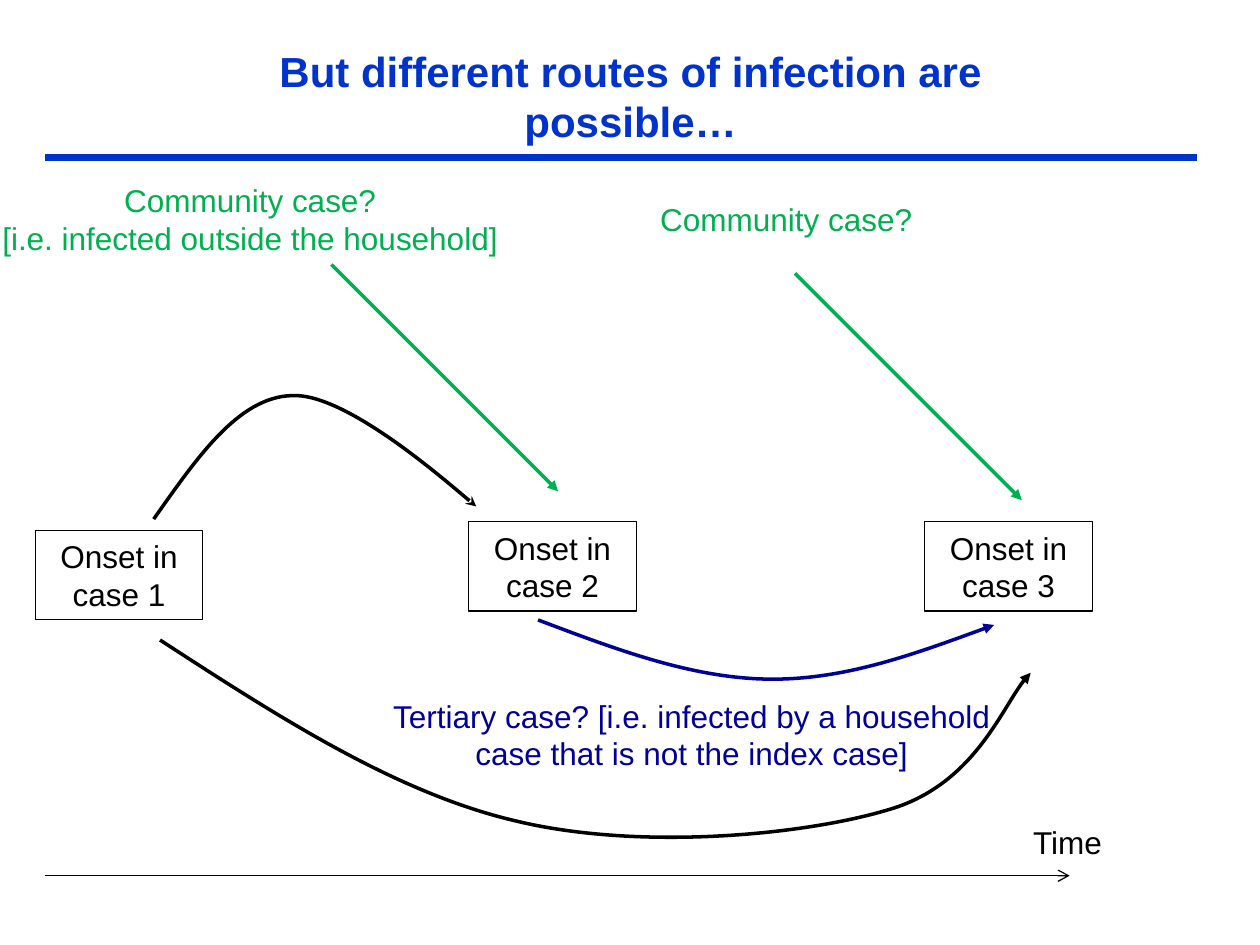
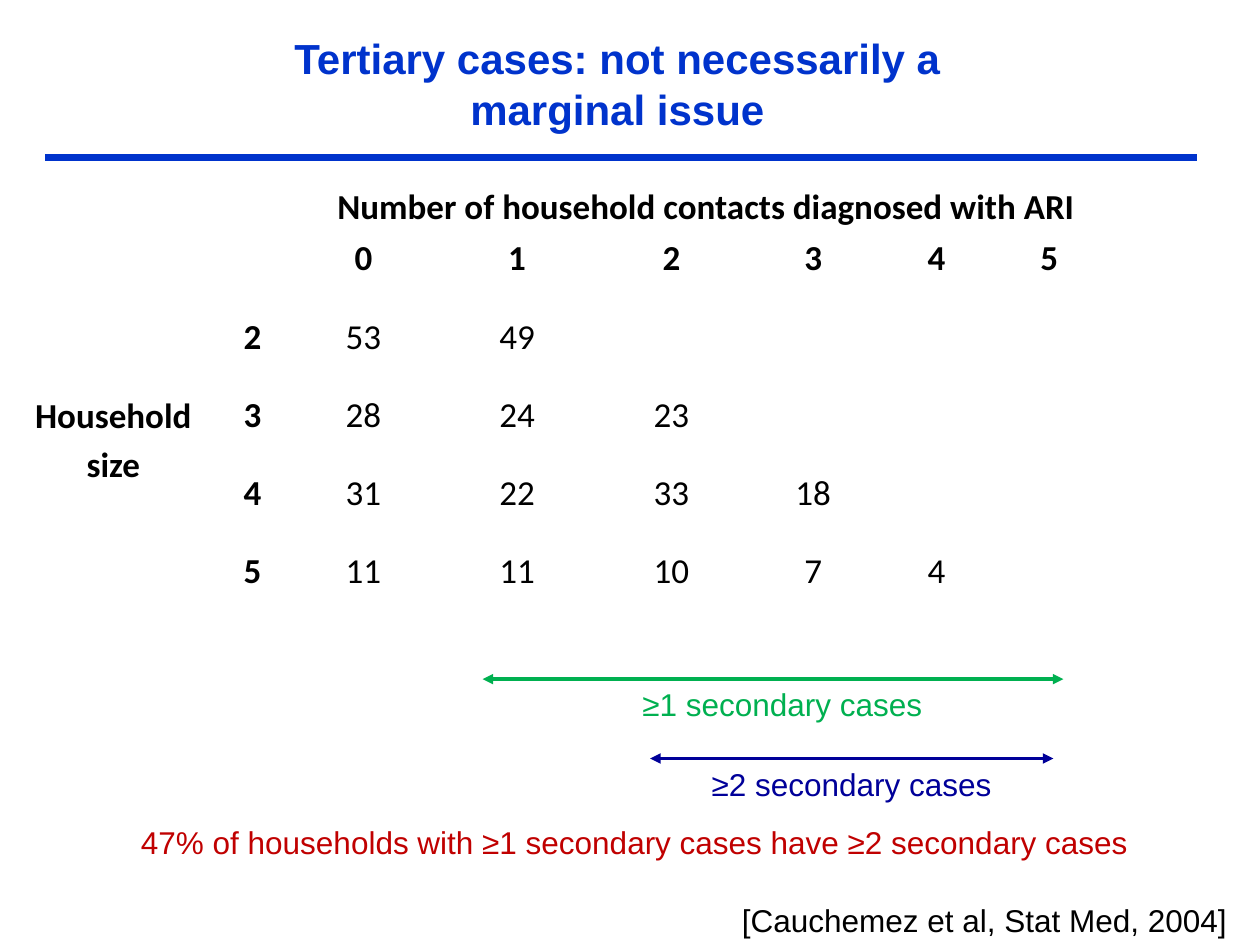
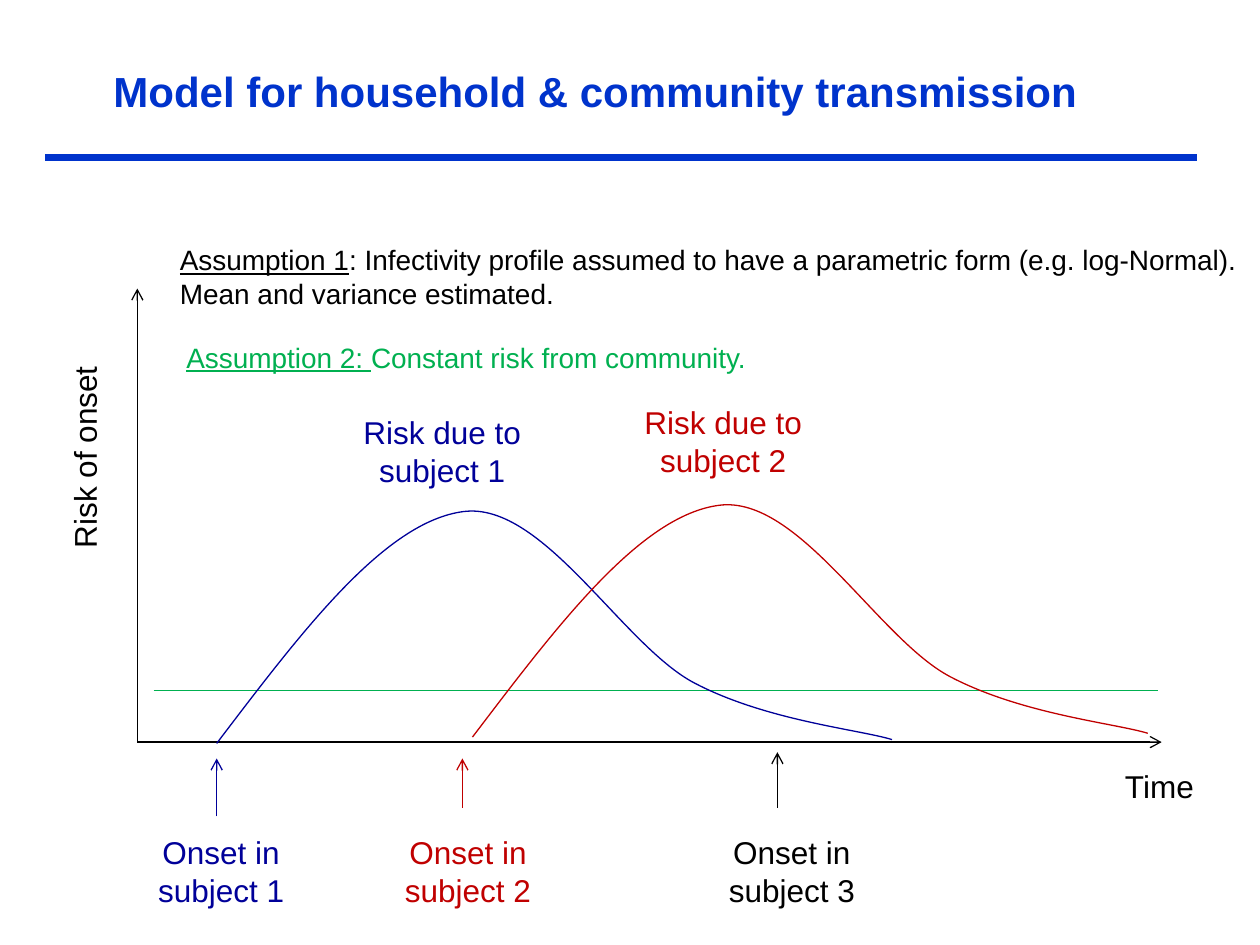
import pptx
import pptx.dml.color
import pptx.enum.shapes
import pptx.enum.text
import pptx.oxml
import pptx.oxml.ns
import pptx.util
from lxml import etree

Inches = pptx.util.Inches
Pt = pptx.util.Pt
qn = pptx.oxml.ns.qn
ALIGN = pptx.enum.text.PP_ALIGN
ANCHOR = pptx.enum.text.MSO_ANCHOR

COLORS = {
    "title": "0033CC",
    "text": "000000",
    "green": "00B050",
    "navy": "000099",
    "red": "C00000",
    "white": "FFFFFF",
}
TITLE_ONLY = 5
ONSET_SIZE = (1.33, 0.71)


def rgb(color):
    """Return the named colour."""
    return pptx.dml.color.RGBColor.from_string(COLORS[color])


def format_font(font, color, size=18, name="Arial", bold=False):
    """Set face, size, weight and colour of a font."""
    font.name, font.size, font.bold = name, Pt(size), bold
    font.color.rgb = rgb(color)


def format_line(shape, color, width, head=None, tail=None):
    """Style a line or outline, with arrowheads at its start and end."""
    shape.line.color.rgb = rgb(color)
    shape.line.width = Pt(width)
    line = shape.line._get_or_add_ln()
    for tag, kind in (("a:headEnd", head), ("a:tailEnd", tail)):
        if kind:
            etree.SubElement(line, qn(tag)).set("type", kind)


def add_line(slide, start, end, color, width=0.75, head=None, tail=None):
    """Draw a straight line between two points."""
    connector = slide.shapes.add_connector(
        pptx.enum.shapes.MSO_CONNECTOR.STRAIGHT,
        *(Inches(value) for value in (*start, *end)))
    format_line(connector, color, width, head, tail)
    etree.SubElement(connector._element.spPr, qn("a:effectLst"))
    return connector


def add_curve(slide, left, top, points, color, width=0.75, tail=None):
    """Draw a Bezier curve: a start point, then three points per segment."""
    placed = [(Inches(left + x), Inches(top + y)) for x, y in points]
    builder = slide.shapes.build_freeform(*placed[0])
    builder.add_line_segments(placed[1:], close=False)
    shape = builder.convert_to_shape()
    shape.shadow.inherit = False
    shape.fill.background()
    format_line(shape, color, width, tail=tail)
    steps = list(shape._element.iter(qn("a:lnTo")))
    for first, *others in zip(steps[::3], steps[1::3], steps[2::3]):
        bezier = etree.Element(qn("a:cubicBezTo"))
        first.addprevious(bezier)
        for step in (first, *others):
            bezier.append(step[0])
            step.getparent().remove(step)


def fill_text(shape, lines, color, size=18, align=ALIGN.CENTER, wrap=True):
    """Write one paragraph per line into a shape."""
    frame = shape.text_frame
    frame.word_wrap = wrap
    frame.text = "\n".join(lines)
    for paragraph in frame.paragraphs:
        paragraph.alignment = align
        format_font(paragraph.font, color, size)


def add_label(slide, left, top, width, height, text, color, size=18,
              align=ALIGN.CENTER, wrap=True):
    """Add a plain text box."""
    label = slide.shapes.add_textbox(*map(Inches, (left, top, width, height)))
    fill_text(label, [text], color, size, align, wrap)
    return label


def add_single_line(slide, left, top, width, text, color):
    """Add a left-aligned label that does not wrap."""
    return add_label(slide, left, top, width, 0.4, text, color,
                     align=ALIGN.LEFT, wrap=False)


def add_framed_text(slide, left, top, width, height, lines, color, border):
    """Add centred text in an unfilled rectangle."""
    frame = slide.shapes.add_shape(
        pptx.enum.shapes.MSO_SHAPE.RECTANGLE,
        *map(Inches, (left, top, width, height)))
    frame.shadow.inherit = False
    frame.fill.background()
    format_line(frame, border, 0.75)
    fill_text(frame, lines, color)


def add_assumption(slide, left, top, width, height, heading, body, color):
    """Add an assumption with its heading underlined."""
    label = add_label(slide, left, top, width, height, heading, color, 16,
                      ALIGN.LEFT)
    paragraph = label.text_frame.paragraphs[0]
    paragraph.runs[0].font.underline = True
    paragraph.add_run().text = body


def add_title_slide(presentation, title, left, top, width, height):
    """Add a slide and place its title."""
    slide = presentation.slides.add_slide(
        presentation.slide_layouts[TITLE_ONLY])
    shape = slide.shapes.title
    shape.left, shape.top, shape.width, shape.height = map(
        Inches, (left, top, width, height))
    shape.text_frame.text = title
    shape.text_frame.vertical_anchor = ANCHOR.TOP
    shape.text_frame.auto_size = pptx.enum.text.MSO_AUTO_SIZE.NONE
    paragraph = shape.text_frame.paragraphs[0]
    paragraph.alignment = ALIGN.CENTER
    format_font(paragraph.font, "title", 24, bold=True)
    return slide


def move_rule_to_layout(slide):
    """Put the blue rule under the title on the shared layout."""
    rule = add_line(slide, (0.36, 1.25), (9.5, 1.25), "title", 4.5)
    slide.slide_layout.shapes._spTree.append(rule._element)


def add_routes(slide, left, top):
    """Draw the cases over time and the routes between them."""
    add_line(slide, (left + 0.08, top + 5.57), (left + 8.21, top + 5.57),
             "text", tail="arrow")
    add_single_line(slide, left + 7.82, top + 5.1, 0.75, "Time", "text")
    for number, (x, y) in enumerate(
            [(0, 2.83), (3.44, 2.76), (7.06, 2.76)], start=1):
        add_framed_text(slide, left + x, top + y, *ONSET_SIZE,
                        [f"Onset in case {number}"], "text", "text")

    community = "Community case?"
    add_framed_text(slide, left - 0.42, top, 4.25, 0.71,
                    [community, "[i.e. infected outside the household]"],
                    "green", "white")
    add_framed_text(slide, left + 4.85, top + 0.16, 2.22, 0.4, [community],
                    "green", "white")
    for x, y in ((2.35, 0.72), (6.03, 0.79)):
        add_line(slide, (left + x, top + y), (left + x + 1.8, top + y + 1.8),
                 "green", 2, tail="triangle")

    add_curve(slide, left, top,
              [(0.94, 2.74), (1.28, 2.26), (1.61, 1.77), (2.04, 1.76),
               (2.46, 1.74), (3.5, 2.64), (3.5, 2.64)],
              "text", 2, "stealth")
    add_curve(slide, left, top,
              [(3.99, 3.54), (4.6, 3.77), (5.2, 4), (5.81, 4.01),
               (6.41, 4.02), (7.01, 3.8), (7.61, 3.58)],
              "navy", 2, "triangle")
    add_curve(slide, left, top,
              [(0.99, 3.7), (1.93, 4.31), (2.87, 4.92), (3.83, 5.14),
               (4.8, 5.37), (6.09, 5.25), (6.76, 5.05),
               (7.44, 4.86), (7.71, 4.14), (7.9, 3.96)],
              "text", 2, "triangle")
    add_label(slide, left + 2.65, top + 4.1, 5.12, 0.71,
              "Tertiary case? [i.e. infected by a household case that is "
              "not the index case]", "navy")


def write_cell(cell, text, bold, anchor=ANCHOR.BOTTOM):
    """Write a centred table entry."""
    cell.text = str(text)
    cell.vertical_anchor = anchor
    cell.margin_left = cell.margin_right = cell.margin_top = Inches(0.01)
    cell.margin_bottom = 0
    paragraph = cell.text_frame.paragraphs[0]
    paragraph.alignment = ALIGN.CENTER
    paragraph.line_spacing = 1.15
    paragraph.space_after = Pt(10)
    format_font(paragraph.font, "text", 20, "Calibri", bold)


def add_household_table(slide, left, top):
    """Tabulate household contacts with ARI by household size."""
    widths = [1.48, 0.16, 0.25, 0.45, 0.61, 0.61, 0.61, 0.63, 0.58, 0.58,
              0.51, 0.51, 0.43, 0.43, 0.5, 0.5, 1]
    heights = [0.41, 0.41] + [0.62] * 4 + [0.41]
    households = {2: [53, 49], 3: [28, 24, 23], 4: [31, 22, 33, 18],
                  5: [11, 11, 10, 7, 4]}
    table = slide.shapes.add_table(
        len(heights), len(widths), Inches(left), Inches(top),
        Inches(sum(widths)), Inches(sum(heights))).table
    table.first_row = table.horz_banding = False
    for column, width in zip(table.columns, widths):
        column.width = Inches(width)
    for row, height in zip(table.rows, heights):
        row.height = Inches(height)
    for cell in table.iter_cells():
        cell.fill.background()

    spans = [(0, 3, 0, 15), (2, 0, 5, 0), (2, 1, 5, 1)]
    spans += [(row, 2 * row + 3, row, 2 * row + 5) for row in (2, 3, 4)]
    spans += [(6, column, 6, column + 1) for column in range(0, 16, 2)]
    for row, column, last_row, last_column in spans:
        table.cell(row, column).merge(table.cell(last_row, last_column))

    write_cell(table.cell(0, 3),
               "Number of household contacts diagnosed with ARI", True)
    write_cell(table.cell(2, 0), "Household size", True, ANCHOR.MIDDLE)
    for contacts in range(6):
        write_cell(table.cell(1, 4 + 2 * contacts), contacts, True,
                   ANCHOR.MIDDLE)
    for row, (size, counts) in enumerate(households.items(), start=2):
        write_cell(table.cell(row, 2), size, True)
        for contacts, count in enumerate(counts):
            write_cell(table.cell(row, 4 + 2 * contacts), count, False)


def add_case_range(slide, left, top, width, text_offset, text, color):
    """Draw a double arrow with its label below."""
    add_line(slide, (left, top), (left + width, top), color, 2,
             "triangle", "triangle")
    add_single_line(slide, left + text_offset, top, 2.44, text, color)


def add_onset(slide, left, top, subject, color, arrow):
    """Label an onset; arrow gives its x, start and end from the label."""
    x, start, end = arrow
    add_line(slide, (left + x, top + start), (left + x, top + end), color,
             tail="arrow")
    add_label(slide, left, top, *ONSET_SIZE, f"Onset in subject {subject}",
              color)


def add_risk_curve(slide, left, top, subject, color, label_box):
    """Draw the risk due to one subject; label_box is relative to it."""
    add_curve(slide, left, top,
              [(0, 1.92), (0.67, 1.04), (1.33, 0.16), (1.96, 0.08),
               (2.59, 0), (3.22, 1.14), (3.79, 1.44),
               (4.36, 1.74), (5.1, 1.81), (5.36, 1.89)], color)
    x, y, width = label_box
    add_label(slide, left + x, top + y, width, 0.71,
              f"Risk due to subject {subject}", color)


def add_risk_model(slide, left, top):
    """Draw risk of onset against time, with the axes' corner at left, top."""
    add_line(slide, (left, top), (left + 8.13, top), "text", tail="arrow")
    add_line(slide, (left, top), (left, top - 3.6), "text", tail="arrow")
    add_single_line(slide, left + 7.74, top + 0.15, 0.75, "Time", "text")
    axis_label = add_single_line(slide, left - 1.25, top - 2.47, 1.66,
                                 "Risk of onset", "text")
    axis_label.rotation = 270

    add_line(slide, (left + 0.13, top - 0.41), (left + 8.1, top - 0.41),
             "green")
    add_risk_curve(slide, left + 0.63, top - 1.91, 1, "navy",
                   (1.01, -0.75, 1.56))
    add_risk_curve(slide, left + 2.66, top - 1.96, 2, "red",
                   (1.25, -0.78, 1.48))

    onsets = [(0, "navy", (0.63, -0.08, -0.54)),
              (1.96, "red", (0.62, -0.15, -0.54)),
              (4.53, "text", (0.55, -0.15, -0.59))]
    for subject, (x, color, arrow) in enumerate(onsets, start=1):
        add_onset(slide, left + x, top + 0.67, subject, color, arrow)

    add_assumption(slide, left + 0.24, top - 4.01, 8.67, 0.64, "Assumption 1",
                   ": Infectivity profile assumed to have a parametric form "
                   "(e.g. log-Normal). Mean and variance estimated.", "text")
    add_assumption(slide, left + 0.29, top - 3.24, 5.08, 0.37,
                   "Assumption 2: ", "Constant risk from community.", "green")


def main():
    """Build the three slides."""
    presentation = pptx.Presentation()
    presentation.slide_width = Inches(10)
    presentation.slide_height = Inches(7.5)

    routes = add_title_slide(
        presentation, "But different routes of infection are possible…",
        1.41, 0.31, 7.19, 0.91)
    move_rule_to_layout(routes)
    add_routes(routes, 0.28, 1.38)

    tertiary = add_title_slide(
        presentation, "Tertiary cases: not necessarily a marginal issue",
        1.61, 0.21, 6.58, 0.91)
    add_household_table(tertiary, 0.16, 1.41)
    add_case_range(tertiary, 3.83, 5.39, 4.61, 1.17, "≥1 secondary cases",
                   "green")
    add_case_range(tertiary, 5.16, 6.02, 3.2, 0.39, "≥2 secondary cases",
                   "navy")
    add_single_line(
        tertiary, 1.02, 6.48, 8.18,
        "47% of households with ≥1 secondary cases have ≥2 secondary cases",
        "red")
    add_single_line(tertiary, 5.79, 7.1, 4.21,
                    "[Cauchemez et al, Stat Med, 2004]", "text")

    model = add_title_slide(
        presentation, "Model for household & community transmission",
        0, 0.47, 9.45, 0.5)
    add_risk_model(model, 1.09, 5.89)

    presentation.save("out.pptx")


main()
